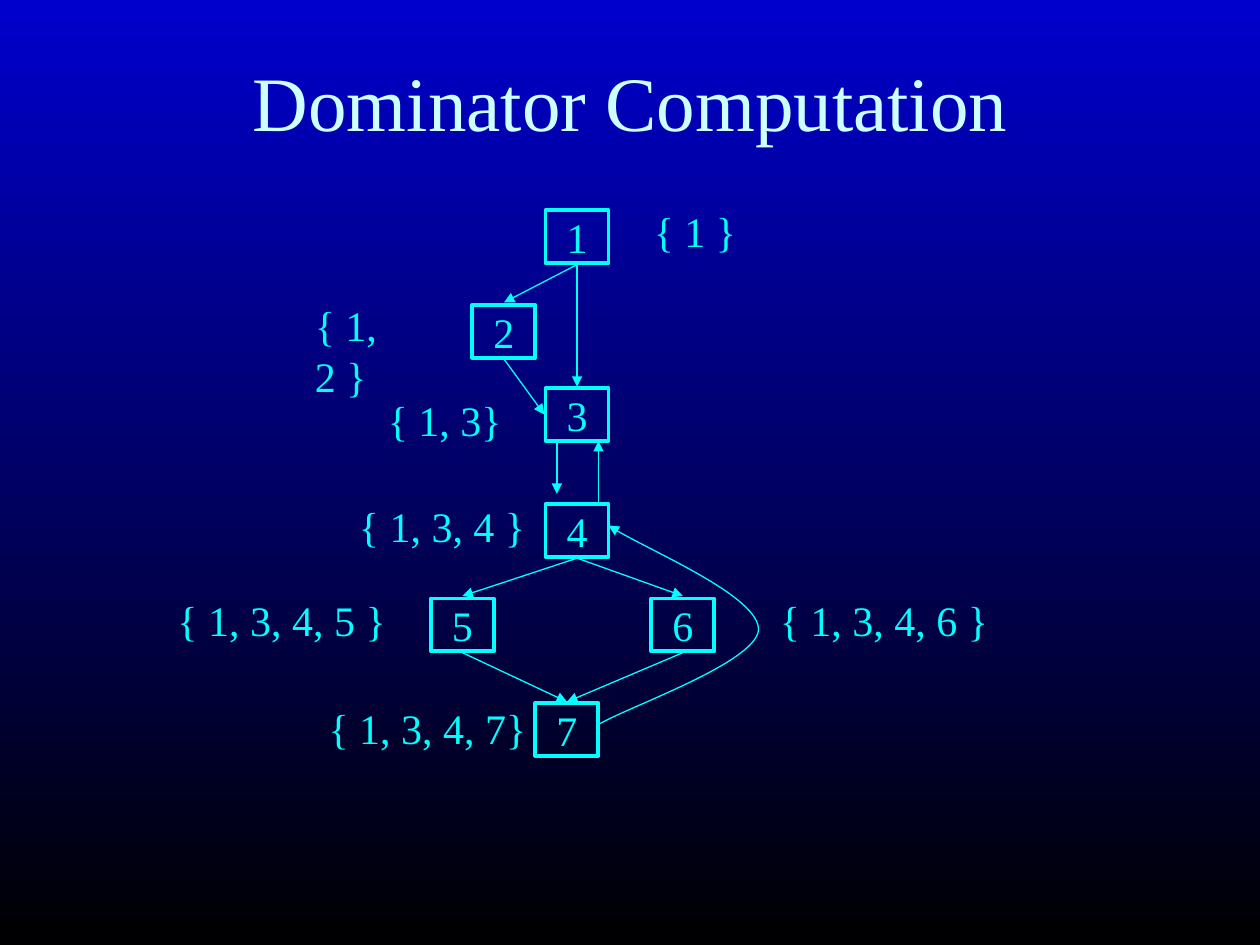
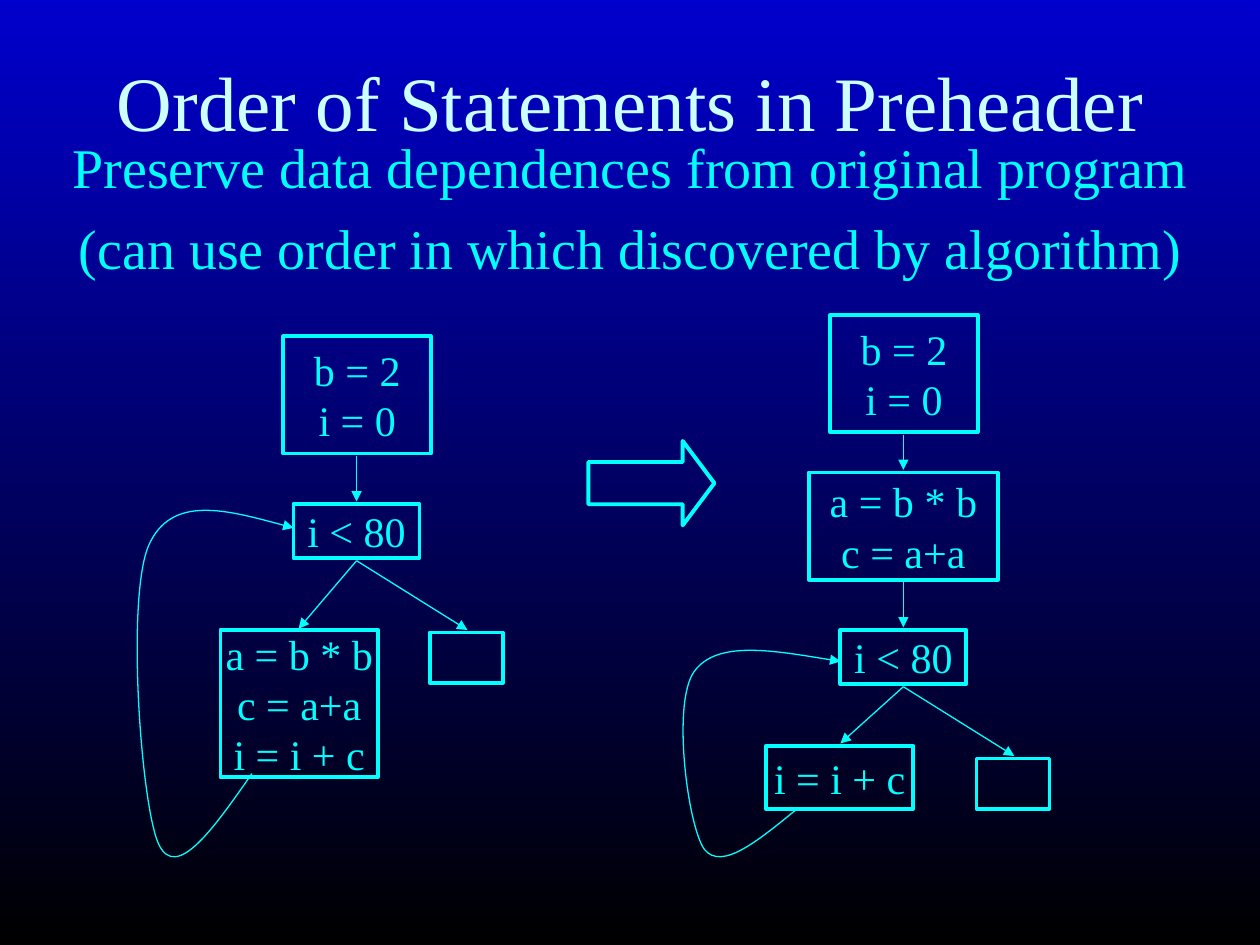
from lxml.etree import SubElement
from pptx import Presentation
from pptx.dml.color import RGBColor
from pptx.enum.shapes import MSO_CONNECTOR, MSO_SHAPE
from pptx.enum.text import MSO_ANCHOR, MSO_AUTO_SIZE, PP_ALIGN
from pptx.oxml.ns import qn
from pptx.util import Inches, Pt

BLUE = RGBColor(0x00, 0x00, 0xCC)
BLACK = RGBColor(0x00, 0x00, 0x00)
CYAN = RGBColor(0x00, 0xFF, 0xFF)
PALE = RGBColor(0xCC, 0xFF, 0xFF)
FONT = "Times New Roman"

NODES = {
    "1": (4.33, 1.67), "2": (3.75, 2.42), "3": (4.33, 3.08), "4": (4.33, 4),
    "5": (3.42, 4.75), "6": (5.17, 4.75), "7": (4.25, 5.58),
}
EDGES = [
    ((4.58, 2.1), (4, 2.4)), ((4.58, 2.1), (4.58, 3.07)),
    ((4, 2.85), (4.32, 3.29)), ((4.42, 3.5), (4.42, 3.92)),
    ((4.75, 4), (4.75, 3.5)), ((4.58, 4.43), (3.67, 4.73)),
    ((4.58, 4.43), (5.42, 4.73)), ((3.67, 5.18), (4.5, 5.57)),
    ((5.42, 5.18), (4.5, 5.57)),
]
SETS = [
    ("{ 1 }", 5.09, 1.58, 0.85), ("{ 1, 2 }", 2.4, 2.33, 1.18),
    ("{ 1, 3}", 2.98, 3.08, 1.1), ("{ 1, 3, 4 }", 2.75, 3.92, 1.52),
    ("{ 1, 3, 4, 5 }", 1.31, 4.67, 1.85), ("{ 1, 3, 4, 6 }", 6.09, 4.67, 1.85),
    ("{ 1, 3, 4, 7}", 2.51, 5.53, 1.77),
]
BACK = [(4.75, 5.75), (4.96, 5.62), (6, 5.26), (6.02, 5),
        (6.03, 4.74), (5.08, 4.34), (4.83, 4.17)]
LOOP_L = [(2, 6.14), (1.7, 6.57), (1.4, 7), (1.26, 6.7), (1.12, 6.4),
          (1, 4.75), (1.18, 4.33), (1.36, 3.92), (1.85, 4.06), (2.33, 4.19)]
LOOP_R = [(6.34, 6.41), (6.03, 6.66), (5.73, 6.92), (5.59, 6.74), (5.46, 6.56),
          (5.33, 5.58), (5.51, 5.33), (5.69, 5.08), (6.18, 5.17), (6.67, 5.25)]


def paint(master):
    """Give every slide the vertical gradient."""
    fill = master.background.fill
    fill.gradient()
    fill.gradient_angle = 270
    for stop, color in zip(fill.gradient_stops, (BLUE, BLACK)):
        stop.color.rgb = color


def write(frame, text, size=24, color=CYAN, align=PP_ALIGN.CENTER, gap=0):
    """Fill a text frame and format its paragraphs."""
    frame.text = text
    for index, para in enumerate(frame.paragraphs):
        para.alignment = align
        if index and gap:
            para.space_before = Pt(gap)
        for run in para.runs:
            run.font.name = FONT
            run.font.size = Pt(size)
            run.font.color.rgb = color


def add_text(slide, left, top, width, height):
    """Add an empty text box and return its frame."""
    area = slide.shapes.add_textbox(*map(Inches, (left, top, width, height)))
    return area.text_frame


def add_title(slide, text):
    """Add the slide title."""
    frame = add_text(slide, 0.42, 0.17, 9.17, 1.25)
    frame.word_wrap = True
    frame.vertical_anchor = MSO_ANCHOR.MIDDLE
    write(frame, text, 44, PALE)


def add_label(slide, text, left, top, width):
    """Add a dominator set beside its node."""
    frame = add_text(slide, left, top, width, 0.5)
    frame.word_wrap = False
    frame.auto_size = MSO_AUTO_SIZE.SHAPE_TO_FIT_TEXT
    write(frame, text, align=PP_ALIGN.LEFT)


def add_box(slide, left, top, width, height, text="", kind=MSO_SHAPE.RECTANGLE):
    """Add an outlined shape with centred text."""
    box = slide.shapes.add_shape(kind, *map(Inches, (left, top, width, height)))
    box.shadow.inherit = False
    box.fill.background()
    box.line.color.rgb = CYAN
    box.line.width = Pt(2.25)
    if text:
        box.text_frame.word_wrap = False
        box.text_frame.vertical_anchor = MSO_ANCHOR.MIDDLE
        write(box.text_frame, text)
    return box


def style_edge(edge):
    """Give an edge its thin line and arrowhead."""
    edge.line.color.rgb = CYAN
    edge.line.width = Pt(0.75)
    props = edge.element.spPr
    SubElement(props.find(qn("a:ln")), qn("a:tailEnd"), type="triangle")
    if props.find(qn("a:effectLst")) is None:
        SubElement(props, qn("a:effectLst"))


def add_edge(slide, start, end):
    """Add a straight arrow between two points."""
    ends = map(Inches, (*start, *end))
    style_edge(slide.shapes.add_connector(MSO_CONNECTOR.STRAIGHT, *ends))


def add_curve(slide, points):
    """Add a curved arrow from a start and triples of Bezier points."""
    spots = [(Inches(x), Inches(y)) for x, y in points]
    draft = slide.shapes.build_freeform(*spots[0])
    draft.add_line_segments(spots[1:], close=False)
    curve = draft.convert_to_shape()
    curve.fill.background()
    steps = curve.element.xpath(".//a:lnTo")
    route = steps[0].getparent()
    for first in range(0, len(steps), 3):
        bend = SubElement(route, qn("a:cubicBezTo"))
        for step in steps[first:first + 3]:
            bend.append(step[0])
            route.remove(step)
    style_edge(curve)


def add_start(slide, mid, top, end):
    """Add the entry block and its arrow down."""
    add_box(slide, mid - 0.58, top, 1.17, 0.93, "b = 2\ni = 0")
    add_edge(slide, (mid, top + 0.95), (mid, end))


def add_test(slide, mid, top, body):
    """Add the loop test, its empty exit and both branches."""
    add_box(slide, mid - 0.5, top, 1, 0.43, "i < 80")
    add_box(slide, mid + 0.58, top + 1.02, 0.58, 0.4)
    add_edge(slide, (mid, top + 0.45), body)
    add_edge(slide, (mid, top + 0.45), (mid + 0.88, top + 1))


def draw_graph(slide):
    """Build the dominator slide."""
    add_title(slide, "Dominator Computation")
    for name, (left, top) in NODES.items():
        add_box(slide, left, top, 0.5, 0.42, name)
    for start, end in EDGES:
        add_edge(slide, start, end)
    add_curve(slide, BACK)
    for label in SETS:
        add_label(slide, *label)


def draw_order(slide):
    """Build the preheader slide."""
    add_title(slide, "Order of Statements in Preheader")
    frame = add_text(slide, 0.42, 1, 9.17, 5.92)
    frame.word_wrap = True
    write(frame, "Preserve data dependences from original program\n"
          "(can use order in which discovered by algorithm)", 32, gap=8)

    add_start(slide, 2.83, 2.67, 3.98)
    add_test(slide, 2.83, 4, (2.37, 4.99))
    add_box(slide, 1.75, 5, 1.25, 1.17, "a = b * b\nc = a+a\ni = i + c")
    add_curve(slide, LOOP_L)

    arrow = add_box(slide, 4.67, 3.5, 1, 0.67, kind=MSO_SHAPE.RIGHT_ARROW)
    arrow.adjustments[1] = 0.375

    add_start(slide, 7.17, 2.5, 3.73)
    add_box(slide, 6.42, 3.75, 1.5, 0.85, "a = b * b\nc = a+a")
    add_edge(slide, (7.17, 4.61), (7.17, 4.98))
    add_test(slide, 7.17, 5, (6.67, 5.9))
    add_box(slide, 6.08, 5.92, 1.17, 0.5, "i = i + c")
    add_curve(slide, LOOP_R)


def main():
    """Build and save the deck."""
    deck = Presentation()
    deck.slide_width, deck.slide_height = Inches(10), Inches(7.5)
    paint(deck.slide_master)
    for draw in (draw_graph, draw_order):
        draw(deck.slides.add_slide(deck.slide_layouts[6]))
    deck.save("out.pptx")


if __name__ == "__main__":
    main()
